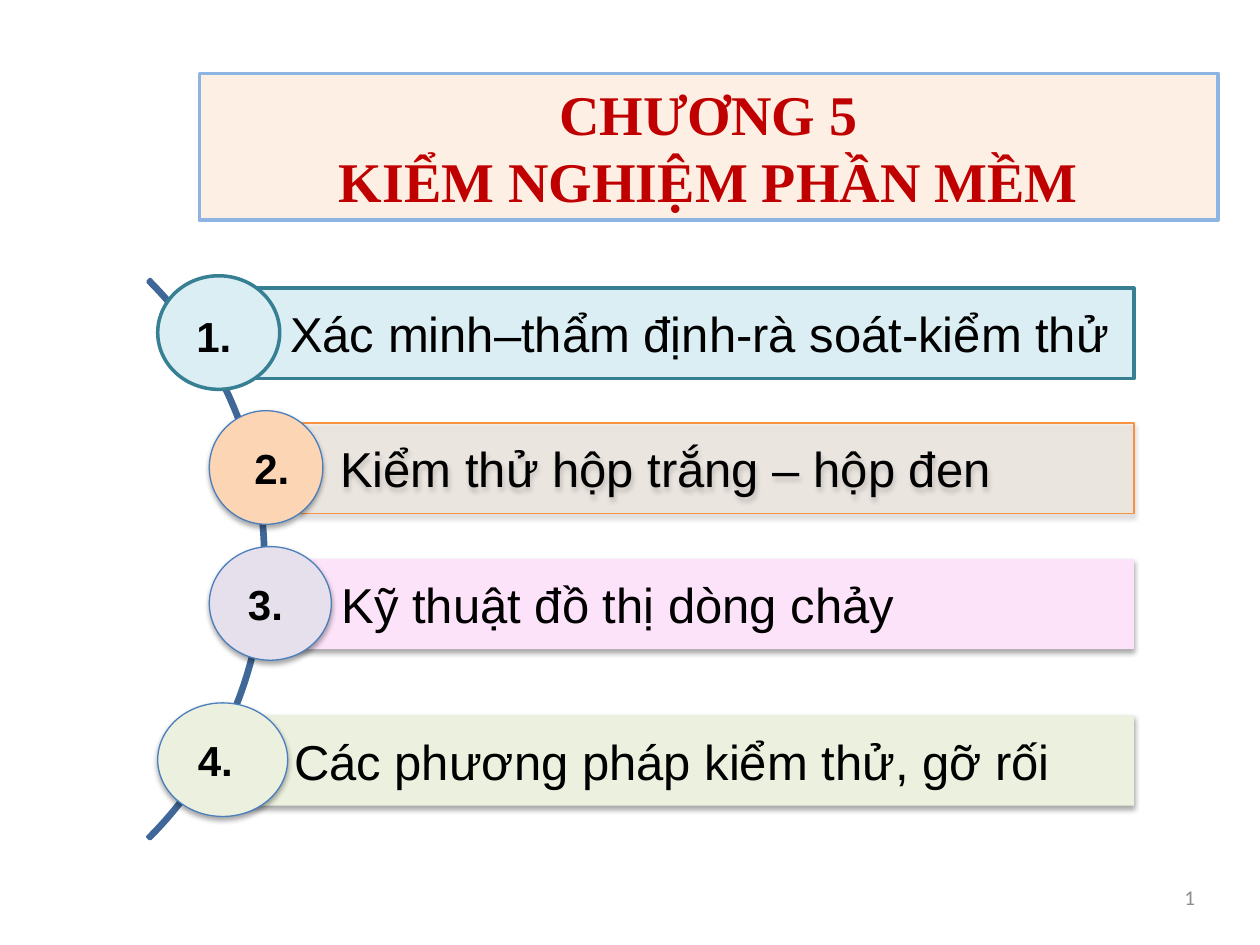
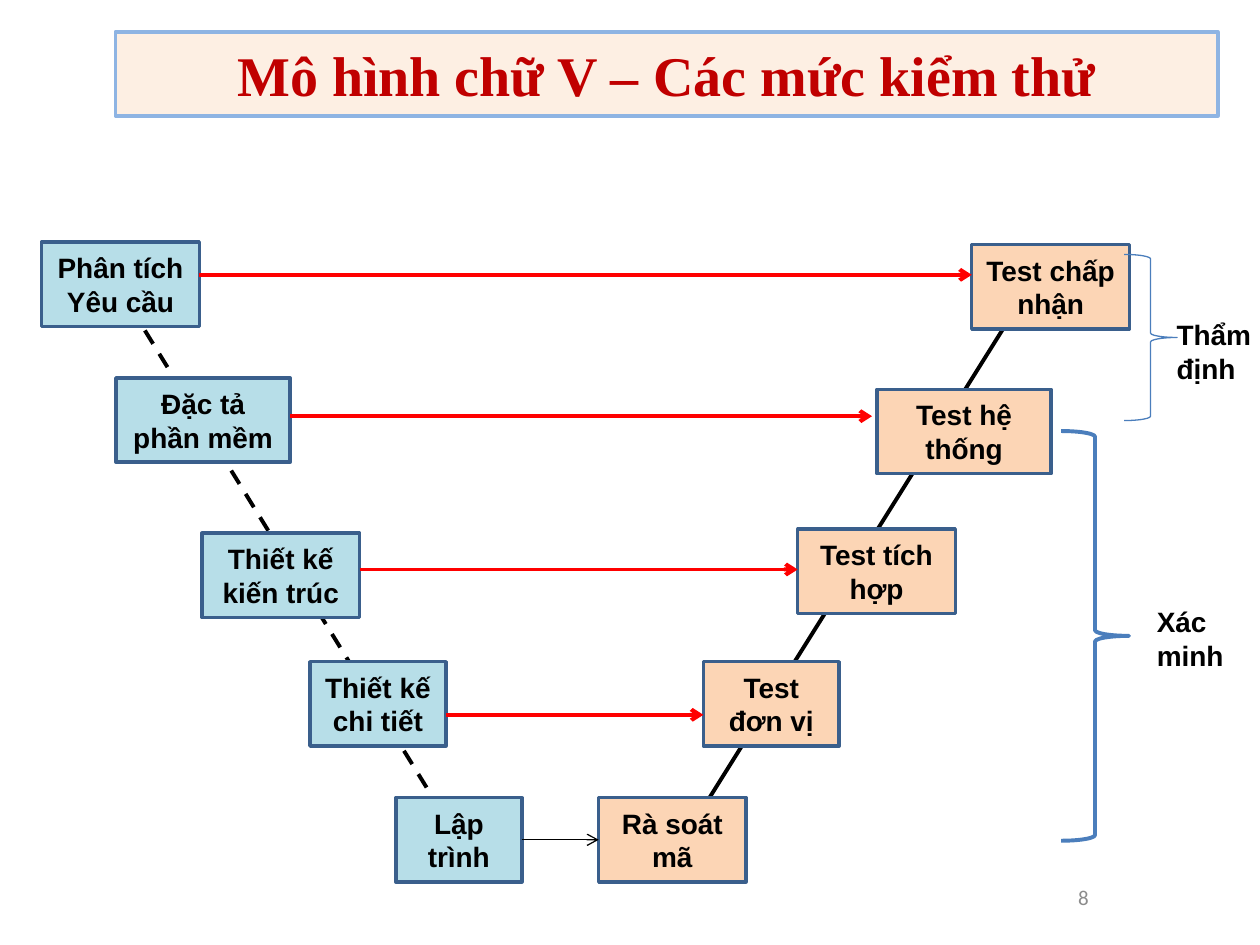
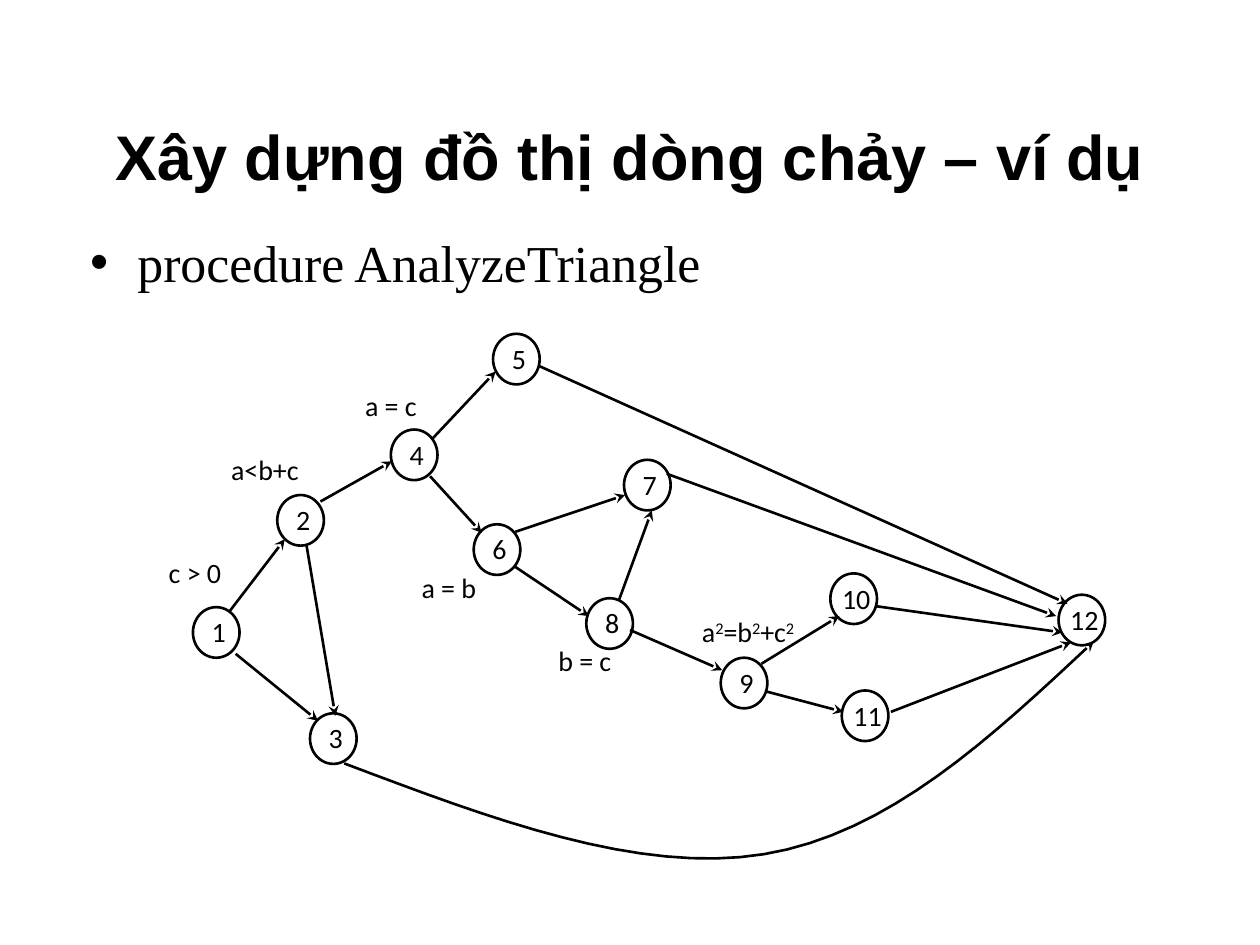
import collections

import lxml.etree
import pptx
import pptx.dml.color
import pptx.enum.dml
import pptx.enum.shapes
import pptx.enum.text
import pptx.oxml.ns
import pptx.util

Cm, Pt = pptx.util.Cm, pptx.util.Pt
SHAPE = pptx.enum.shapes.MSO_SHAPE
ALIGN = pptx.enum.text.PP_ALIGN
ANCHOR = pptx.enum.text.MSO_ANCHOR
qn = pptx.oxml.ns.qn

COLORS = {
    "text": "000000", "title": "C00000", "band": "FDEFE3", "band_line": "8EB4E3",
    "number": "8C8C8C", "arc": "3F6797", "aqua": "DBEEF4", "aqua_line": "377F92",
    "cream": "FDEADA", "orange": "F69240", "peach": "FCD5B5", "pink": "FDE3F9",
    "lilac": "E6E0EC", "green": "EBF1DE", "blue": "4B7EBC", "design": "B7DEE8",
    "box_line": "3A5F8C", "arrow": "FF0000",
}

Box = collections.namedtuple("Box", "x y w h")  # centimetres
Topic = collections.namedtuple(
    "Topic", "text y bar_x inset bar_fill bar_line bar_width alpha "
    "circle_x circle_w circle_fill circle_line label_x label_y shadow")
Level = collections.namedtuple("Level", "design x y w test test_x test_y test_w arrow_y gap")


# ---- Shared helpers ----

def rgb(name):
    return pptx.dml.color.RGBColor.from_string(COLORS[name])


def sub(parent, tag, **attrs):
    return lxml.etree.SubElement(parent, qn(tag), attrs)


def paint(sp, fill=None, line=None, width=0.75, alpha=None, shadow=False):
    if fill:
        sp.fill.solid()
        sp.fill.fore_color.rgb = rgb(fill)
        if alpha:
            clr = sp._element.spPr.find(qn("a:solidFill"))[0]
            sub(clr, "a:alpha", val=str(alpha * 1000))
    else:
        sp.fill.background()
    if line:
        sp.line.color.rgb = rgb(line)
        sp.line.width = Pt(width)
    else:
        sp.line.fill.background()
    sp.shadow.inherit = False
    if shadow:
        effects = sp._element.spPr.find(qn("a:effectLst"))
        outer = sub(effects, "a:outerShdw", blurRad=str(Pt(3.1)), dist=str(Pt(1.8)),
                    dir="5400000", rotWithShape="0")
        sub(sub(outer, "a:srgbClr", val=COLORS["text"]), "a:alpha", val="35000")


def format_text(sp, size, font="Arial", color="text", bold=False,
                align=ALIGN.LEFT, anchor=ANCHOR.MIDDLE):
    tf = sp.text_frame
    tf.word_wrap = True
    tf.vertical_anchor = anchor
    for p in tf.paragraphs:
        p.alignment = align
        for r in p.runs:
            r.font.size = Pt(size)
            r.font.name = font
            r.font.bold = bold
            r.font.color.rgb = rgb(color)


def add_shape(s, kind, x, y, w, h, **look):
    sp = s.shapes.add_shape(kind, Cm(x), Cm(y), Cm(w), Cm(h))
    paint(sp, **look)
    return sp


def add_text(s, text, x, y, w, h, size, anchor=ANCHOR.TOP, **style):
    sp = s.shapes.add_textbox(Cm(x), Cm(y), Cm(w), Cm(h))
    sp.text_frame.text = text
    format_text(sp, size, anchor=anchor, **style)
    return sp


def add_arrowhead(sp, head):
    sub(sp.line._get_or_add_ln(), "a:tailEnd", type=head)


def add_line(s, x1, y1, x2, y2, color="text", width=2.25, dash=None, head=None):
    c = s.shapes.add_connector(pptx.enum.shapes.MSO_CONNECTOR.STRAIGHT,
                               Cm(x1), Cm(y1), Cm(x2), Cm(y2))
    c.line.color.rgb = rgb(color)
    c.line.width = Pt(width)
    if dash:
        c.line.dash_style = dash
    if head:
        add_arrowhead(c, head)
    sub(c._element.spPr, "a:effectLst")
    return c


def add_slide(prs, title, box):
    s = prs.slides.add_slide(prs.slide_layouts[5])
    sp = s.shapes.title
    sp.left, sp.top, sp.width, sp.height = (Cm(v) for v in box)
    sp.text_frame.text = title
    sp.text_frame.auto_size = pptx.enum.text.MSO_AUTO_SIZE.NONE
    return s


def add_banner_slide(prs, title, box, number, number_x):
    s = add_slide(prs, title, box)
    sp = s.shapes.title
    sub(sub(sp._element.spPr, "a:prstGeom", prst="hexagon"), "a:avLst")
    paint(sp, "band", "band_line", 2)
    format_text(sp, 32, "Times New Roman", "title", True, ALIGN.CENTER)
    add_text(s, number, number_x, 17.58, 5.92, 1.02, 12, font="Calibri",
             color="number", align=ALIGN.RIGHT, anchor=ANCHOR.MIDDLE)
    return s


# ---- Slide 1: list of topics along an arc ----

TOPICS = [
    Topic("Xác minh–thẩm định-rà soát-kiểm thử", 0, 1.22, 1.45, "aqua", "aqua_line", 2, None,
          0, 2.46, "aqua", "aqua_line", 0.53, 0.58, False),
    Topic("Kiểm thử hộp trắng – hộp đen", 2.72, 2.87, 0.81, "cream", "orange", 0.75, 30,
          1.04, 2.29, "peach", "blue", 1.7, 0.51, True),
    Topic("Kỹ thuật đồ thị dòng chảy", 5.46, 2.26, 1.45, "pink", None, 0, None,
          1.04, 2.46, "lilac", "blue", 1.57, 0.51, True),
    Topic("Các phương pháp kiểm thử, gỡ rối", 8.61, 1.3, 1.45, "green", None, 0, None,
          0, 2.62, "green", "blue", 0.56, 0.51, True),
]


def draw_topics(s, box):
    arc = add_shape(s, SHAPE.BLOCK_ARC, box.x - 13.77, box.y - 2.26, 15.95, 15.95,
                    line="arc", width=2)
    for i, value in enumerate((189, 27, 0.004)):
        arc.adjustments[i] = value

    for number, t in enumerate(TOPICS, 1):
        y = box.y + t.y
        bar = add_shape(s, SHAPE.RECTANGLE, box.x + t.bar_x, y + 0.25, box.w - t.bar_x, 1.82,
                        fill=t.bar_fill, line=t.bar_line, width=t.bar_width,
                        alpha=t.alpha, shadow=t.shadow)
        bar.text_frame.text = t.text
        bar.text_frame.margin_left = Cm(t.inset)
        bar.text_frame.margin_right = Cm(0.18)
        format_text(bar, 28)
        add_shape(s, SHAPE.OVAL, box.x + t.circle_x, y, t.circle_w, 2.29,
                  fill=t.circle_fill, line=t.circle_line,
                  width=0.75 if t.shadow else 2, shadow=t.shadow)
        add_text(s, f"{number}.", box.x + t.label_x, y + t.label_y, 1.6, 1.27, 24, bold=True)


# ---- Slide 2: V model ----

LEVELS = [
    Level("Phân tích\nYêu cầu", 0, 0, 3.18, "Test chấp\nnhận", 18.75, 0.05, 3.18, 0.66, 0),
    Level("Đặc tả\nphần mềm", 1.5, 2.74, 3.51, "Test hệ\nthống", 16.84, 2.97, 3.51, 3.51, 0.1),
    Level("Thiết kế\nkiến trúc", 3.23, 5.87, 3.18, "Test tích hợp", 15.24, 5.79, 3.18, 6.6, 0),
    Level("Thiết kế\nchi tiết", 5.41, 8.46, 2.74, "Test đơn vị", 13.34, 8.46, 2.74, 9.53, 0),
    Level("Lập trình", 7.14, 11.2, 2.54, "Rà soát mã", 11.23, 11.2, 2.97, 12.05, 0),
]
BRACES = [  # x, y, w, h, line width, label, label x, label y, label w
    (20.55, 3.81, 1.37, 8.26, 2.25, "Xác minh", 22.23, 7.19, 1.9),
    (21.82, 0.25, 1.07, 3.35, 0.75, "Thẩm định", 22.63, 1.4, 2.36),
]


def draw_step(s, text, x, y, w, fill):
    sp = add_shape(s, SHAPE.RECTANGLE, x, y, w, 1.7, fill=fill, line="box_line", width=2)
    sp.text_frame.text = text
    format_text(sp, 16, bold=True, align=ALIGN.CENTER)
    return sp


def draw_v_model(s, box):
    # Arms of the V
    add_line(s, box.x + 1.5, box.y + 0.84, box.x + 8.41, box.y + 12.05,
             dash=pptx.enum.dml.MSO_LINE.DASH)
    add_line(s, box.x + 20.32, box.y + 0.25, box.x + 12.93, box.y + 12.05)

    # Steps and the arrows between them
    for level in LEVELS:
        last = level is LEVELS[-1]
        design = draw_step(s, level.design, box.x + level.x, box.y + level.y, level.w, "design")
        test = draw_step(s, level.test, box.x + level.test_x, box.y + level.test_y,
                         level.test_w, "peach")
        y = box.y + level.arrow_y
        c = add_line(s, box.x + level.x + level.w, y, box.x + level.test_x - level.gap, y,
                     color="text" if last else "arrow", width=0.75 if last else 2.25,
                     head="arrow")
        if last:
            c.begin_connect(design, 3)
            c.end_connect(test, 1)

    # Braces
    for x, y, w, h, width, label, label_x, label_y, label_w in BRACES:
        add_shape(s, SHAPE.RIGHT_BRACE, box.x + x, box.y + y, w, h, line="blue", width=width)
        add_text(s, label, box.x + label_x, box.y + label_y, label_w, 1.63, 16, bold=True)


# ---- Slide 3: flow graph ----

NODES = [
    (0.99, 5.51), (2.69, 3.25), (3.35, 7.65), (4.98, 1.93), (7.04, 0), (6.65, 3.84),
    (9.68, 2.54), (8.92, 5.33), (11.63, 6.53), (13.84, 4.83), (14.07, 7.19), (18.44, 5.26),
]
EDGES = [
    (1.73, 5.59, 2.84, 4.14), (1.85, 6.45, 3.51, 7.8), (3.28, 4.27, 3.86, 7.7),
    (3.56, 3.38, 5, 2.57), (5.82, 2.11, 7.09, 0.76), (5.77, 2.87, 6.81, 4.01),
    (7.49, 3.99, 9.7, 3.25), (7.49, 4.7, 8.97, 5.69), (9.58, 5.36, 10.24, 3.56),
    (9.8, 5.97, 11.66, 6.78), (12.45, 6.65, 14.02, 5.69), (12.55, 7.21, 14.1, 7.62),
    (7.95, 0.64, 18.62, 5.44), (10.54, 2.82, 18.39, 5.69), (14.76, 5.49, 18.52, 6.02),
    (15.06, 7.62, 18.69, 6.22),
]
CURVE = [(4.04, 8.66), (7.01, 9.78), (9.96, 10.9), (12.5, 10.49),
         (15.01, 10.08), (17.07, 8.15), (19.15, 6.2)]
CONDITIONS = [
    ("c > 0", 0, 4.34, 2.06), ("a<b+c", 1.17, 2.26, 2.54), ("a = c", 3.71, 0.97, 2.54),
    ("a = b", 4.88, 4.65, 2.54), ("b = c", 7.62, 6.12, 2.54),
]
LABEL = {"size": 16, "font": "Calibri", "align": ALIGN.CENTER}


def bezier(points, t):
    weights = ((1 - t) ** 3, 3 * t * (1 - t) ** 2, 3 * t * t * (1 - t), t ** 3)
    return tuple(sum(k * p[axis] for k, p in zip(weights, points)) for axis in (0, 1))


def draw_curved_edge(s, box, steps=16):
    dots = [bezier(CURVE[i:i + 4], n / steps) for i in (0, 3) for n in range(1, steps + 1)]
    dots = [(Cm(box.x + x), Cm(box.y + y)) for x, y in [CURVE[0]] + dots]
    builder = s.shapes.build_freeform(*dots[0])
    builder.add_line_segments(dots[1:], close=False)
    sp = builder.convert_to_shape()
    paint(sp, line="text", width=1.5)
    add_arrowhead(sp, "stealth")


def draw_flow_graph(s, box):
    for number, (x, y) in enumerate(NODES, 1):
        add_shape(s, SHAPE.OVAL, box.x + x, box.y + y, 0.94, 1.02, line="text", width=1.5)
        add_text(s, str(number), box.x + x - 0.51, box.y + y + 0.03, 2.06, 0.94, **LABEL)
    for x1, y1, x2, y2 in EDGES:
        add_line(s, box.x + x1, box.y + y1, box.x + x2, box.y + y2, width=1.5, head="stealth")
    draw_curved_edge(s, box)

    # Branch conditions
    for text, x, y, w in CONDITIONS:
        add_text(s, text, box.x + x, box.y + y, w, 0.94, **LABEL)
    sp = add_text(s, "", box.x + 10.72, box.y + 5.54, 2.92, 0.94, **LABEL)
    for base in ("a", "=b", "+c"):
        for text, baseline in ((base, "0"), ("2", "30000")):
            r = sp.text_frame.paragraphs[0].add_run()
            r.text = text
            r.font._element.set("baseline", baseline)
    format_text(sp, anchor=ANCHOR.TOP, **LABEL)


def draw_bullet(s, text, box):
    sp = add_text(s, text, *box, 29.6, font="Times New Roman")
    p = sp.text_frame.paragraphs[0]
    p.space_before = Pt(6)
    pPr = p._p.get_or_add_pPr()
    pPr.set("marL", str(Cm(0.95)))
    pPr.set("indent", str(-Cm(0.95)))
    sub(pPr, "a:buFont", typeface="Arial")
    sub(pPr, "a:buChar", char="•")


def main():
    prs = pptx.Presentation()
    prs.slide_width, prs.slide_height = Cm(25.4), Cm(19.05)

    s = add_banner_slide(prs, "CHƯƠNG 5\nKIỂM NGHIỆM PHẦN MỀM",
                         Box(4.02, 1.48, 20.53, 2.96), "1", 18.42)
    draw_topics(s, Box(3.18, 5.56, 19.68, 10.9))

    s = add_banner_slide(prs, "Mô hình chữ V – Các mức kiểm thử",
                         Box(2.33, 0.64, 22.22, 1.7), "8", 16.28)
    draw_v_model(s, Box(0.84, 4.88, 24.5, 12.9))

    s = add_slide(prs, "Xây dựng đồ thị dòng chảy – ví dụ", Box(1.27, 1.96, 22.86, 2.36))
    format_text(s.shapes.title, 36, bold=True, align=ALIGN.CENTER)
    draw_bullet(s, "procedure AnalyzeTriangle", Box(1.57, 4.52, 22.53, 1.4))
    draw_flow_graph(s, Box(2.9, 6.73, 19.4, 10.9))

    prs.save("out.pptx")


if __name__ == "__main__":
    main()
